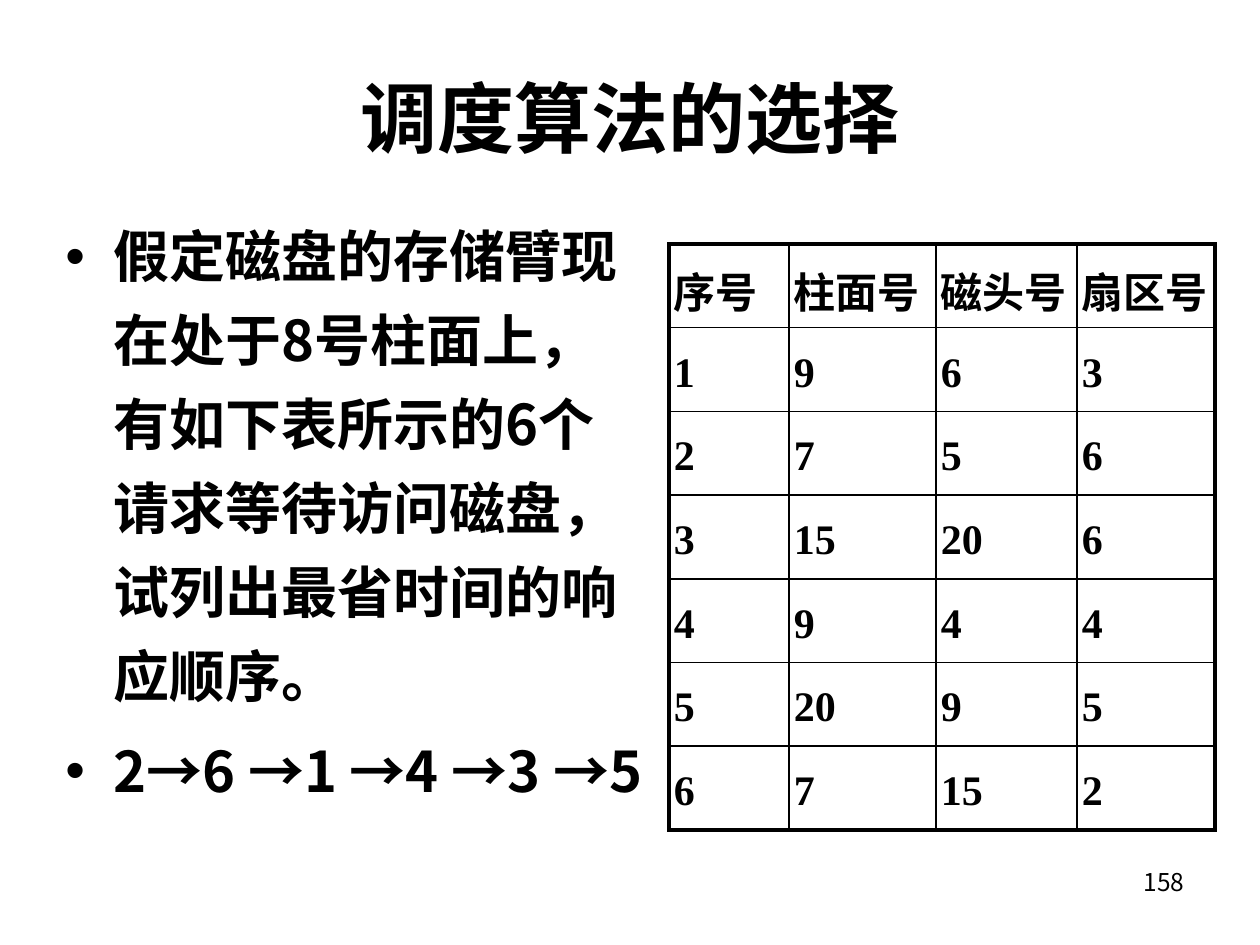
from pptx import Presentation
from pptx.util import Pt
from pptx.dml.color import RGBColor
from pptx.enum.text import PP_ALIGN as Al, MSO_ANCHOR as Anc
from pptx.oxml.ns import qn
from lxml.etree import SubElement as Sub, Element as Elem

SANS = "Noto Sans CJK SC"
SERIF = "Times New Roman"
INK = "000000"


def px(n):
    return round(n * 914400 / 126)


def tint(code):
    return RGBColor.from_string(code)


class Deck:
    def __init__(self):
        self.prs = Presentation()
        self.prs.slide_width, self.prs.slide_height = px(1260), px(945)
        self.page = self.prs.slides.add_slide(self.prs.slide_layouts[6])

    def style(self, para, size, bold=True, face=SANS):
        for run in para.runs:
            font = run.font
            font.size, font.bold, font.name = Pt(size), bold, face
            font.color.rgb = tint(INK)
            Sub(run._r.get_or_add_rPr(), qn("a:ea"), typeface=SANS)

    def text(self, box, words, size, align=Al.LEFT, anchor=Anc.TOP, bold=True):
        frame = self.page.shapes.add_textbox(*map(px, box)).text_frame
        frame.word_wrap = True
        frame.vertical_anchor = anchor
        frame.text = words
        for para in frame.paragraphs:
            para.alignment = align
            self.style(para, size, bold)
        return frame

    def bullets(self, box, items, size):
        frame = self.text(box, "\n".join(items), size)
        for i, para in enumerate(frame.paragraphs):
            para.line_spacing = 1.25
            if i:
                para.space_before = Pt(6)
            props = para._p.get_or_add_pPr()
            props.set("marL", str(px(48)))
            props.set("indent", str(-px(48)))
            Sub(props, qn("a:buFont"), typeface="Arial")
            Sub(props, qn("a:buChar"), char="•")

    def edge(self, cell, widths):
        props = cell._tc.get_or_add_tcPr()
        for i, (side, width) in enumerate(zip("LRTB", widths)):
            line = Elem(qn("a:ln" + side), w=str(Pt(width)))
            fill = Sub(line, qn("a:solidFill"))
            Sub(fill, qn("a:srgbClr"), val=INK)
            props.insert(i, line)

    def table(self, left, top, cols, high, rows, size):
        last, end = len(rows) - 1, len(cols) - 1
        grid = self.page.shapes.add_table(
            len(rows), len(cols), px(left), px(top), px(sum(cols)), px(high)).table
        grid.first_row = grid.horz_banding = False
        for col, width in zip(grid.columns, cols):
            col.width = px(width)
        for r, row in enumerate(rows):
            grid.rows[r].height = px(high / len(rows))
            for c, word in enumerate(row):
                cell = grid.cell(r, c)
                cell.text = word
                cell.vertical_anchor = Anc.MIDDLE
                cell.margin_left = cell.margin_right = px(5)
                cell.margin_top = cell.margin_bottom = px(6)
                cell.fill.background()
                outer = (c == 0, c == end, r == 0, r == last)
                self.edge(cell, [2.25 if out else 1 for out in outer])
                para = cell.text_frame.paragraphs[0]
                para.line_spacing = 1.15
                self.style(para, size, face=SERIF)


def main():
    deck = Deck()
    deck.text((903, 861, 294, 66), "158", 14, Al.RIGHT, bold=False)
    rows = [
        ("序号", "柱面号", "磁头号", "扇区号"),
        ("1", "9", "6", "3"),
        ("2", "7", "5", "6"),
        ("3", "15", "20", "6"),
        ("4", "9", "4", "4"),
        ("5", "20", "9", "5"),
        ("6", "7", "15", "2"),
    ]
    deck.table(669, 244, (120, 147, 141, 138), 586, rows, 24)
    deck.text((63, 38, 1134, 158), "调度算法的选择", 44, Al.CENTER, Anc.MIDDLE)
    deck.bullets((53, 199, 605, 625), [
        "假定磁盘的存储臂现在处于8号柱面上，有如下表所示的6个请求等待访问磁盘，"
        "试列出最省时间的响应顺序。",
        "2→6 →1 →4 →3 →5",
    ], 32)
    deck.prs.save("out.pptx")


if __name__ == "__main__":
    main()
